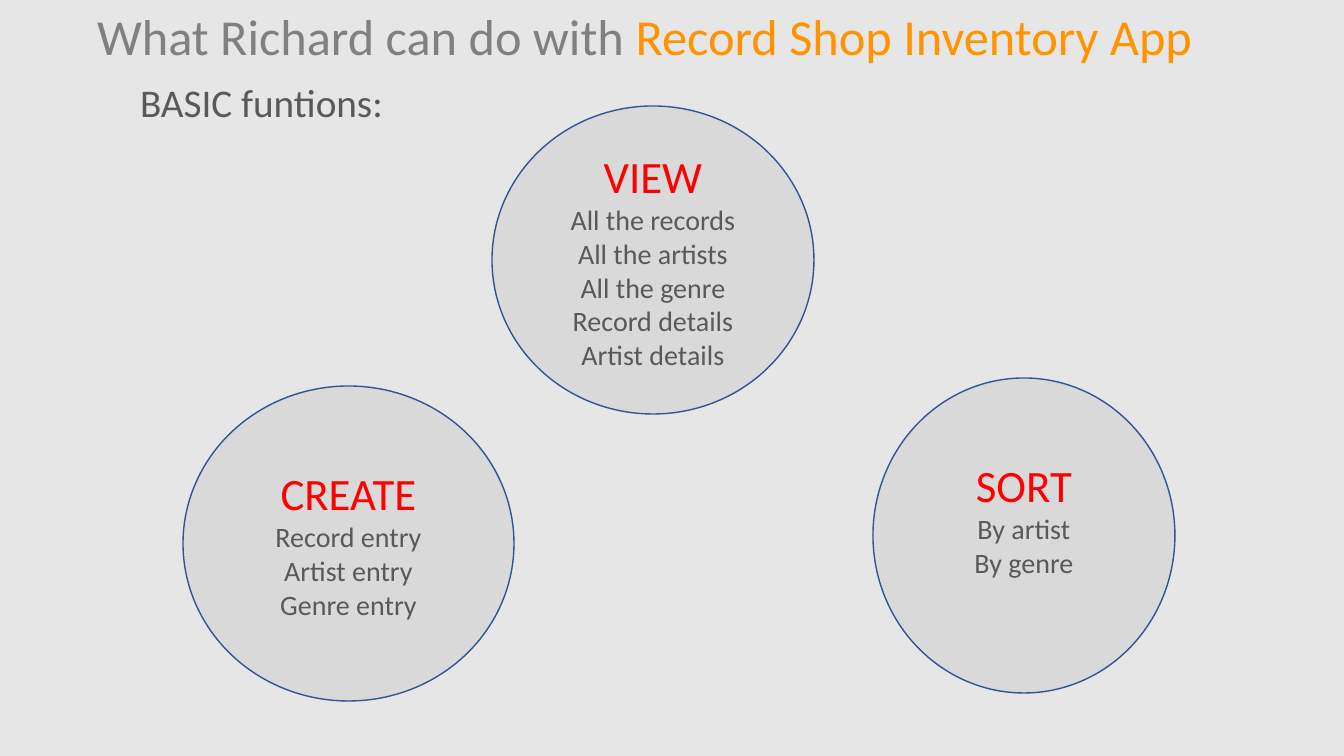
"""Build the slide of basic functions of the record shop app."""
from pptx import Presentation
from pptx.dml.color import RGBColor
from pptx.enum.shapes import MSO_SHAPE as Shape
from pptx.enum.text import MSO_ANCHOR as Anchor, MSO_AUTO_SIZE as Auto, PP_ALIGN as Align
from pptx.oxml.ns import qn
from pptx.util import Emu, Pt

BACK = RGBColor(0xE7, 0xE6, 0xE6)
DISC = RGBColor(0xD9, 0xD9, 0xD9)
EDGE = RGBColor(0x32, 0x54, 0x91)
GRAY = RGBColor(0x80, 0x80, 0x80)
DARK = RGBColor(0x59, 0x59, 0x59)
GOLD = RGBColor(0xFF, 0x93, 0x00)
RED = RGBColor(0xFF, 0x00, 0x00)

CIRCLES = [
    ("VIEW", ["All the records", "All the artists", "All the genre",
              "Record details", "Artist details"], (492, 106, 322, 308), 5),
    ("CREATE", ["Record entry", "Artist entry", "Genre entry"],
     (183, 386, 331, 315), 5),
    ("SORT", ["By artist", "By genre"], (873, 378, 302, 315), 39),
]


def px(num):
    return Emu(round(num * 914400 / 100.8))


def write(para, text, size=20, color=DARK, align=Align.LEFT):
    para.alignment = align
    para.space_before = Pt(0)
    run = para.add_run()
    run.text = text
    font = run.font
    font.name = "Calibri"
    font.size = Pt(size)
    font.color.rgb = color


def place(holder, left, top, width, height):
    holder.left, holder.top = px(left), px(top)
    holder.width, holder.height = px(width), px(height)
    frame = holder.text_frame
    frame.word_wrap = True
    frame.auto_size = Auto.NONE
    frame.vertical_anchor = Anchor.TOP
    return frame.paragraphs[0]


def plain(para):
    props = para._p.get_or_add_pPr()
    props.set("marL", "0")
    props.set("indent", "0")
    props.append(props.makeelement(qn("a:buNone"), {}))


def circle(slide, head, items, box, foot):
    disc = slide.shapes.add_shape(Shape.OVAL, *map(px, box))
    disc.shadow.inherit = False
    disc.fill.solid()
    disc.fill.fore_color.rgb = DISC
    disc.line.color.rgb = EDGE
    disc.line.width = Pt(1)
    frame = disc.text_frame
    frame.word_wrap = True
    frame.vertical_anchor = Anchor.MIDDLE
    frame.margin_bottom = px(foot)
    write(frame.paragraphs[0], head, size=32, color=RED, align=Align.CENTER)
    for item in items:
        write(frame.add_paragraph(), item, align=Align.CENTER)


def main():
    deck = Presentation()
    deck.slide_width, deck.slide_height = px(1344), px(756)
    slide = deck.slides.add_slide(deck.slide_layouts[1])
    back = slide.background.fill
    back.solid()
    back.fore_color.rgb = BACK

    title = place(slide.shapes.title, 87, 0, 1151, 72)
    write(title, "What Richard can do with ", size=36, color=GRAY)
    write(title, "Record Shop Inventory App", size=36, color=GOLD)

    body = place(slide.placeholders[1], 130, 73, 320, 58)
    plain(body)
    write(body, "BASIC funtions:", size=28)

    for head, items, box, foot in CIRCLES:
        circle(slide, head, items, box, foot)
    deck.save("out.pptx")


if __name__ == "__main__":
    main()
